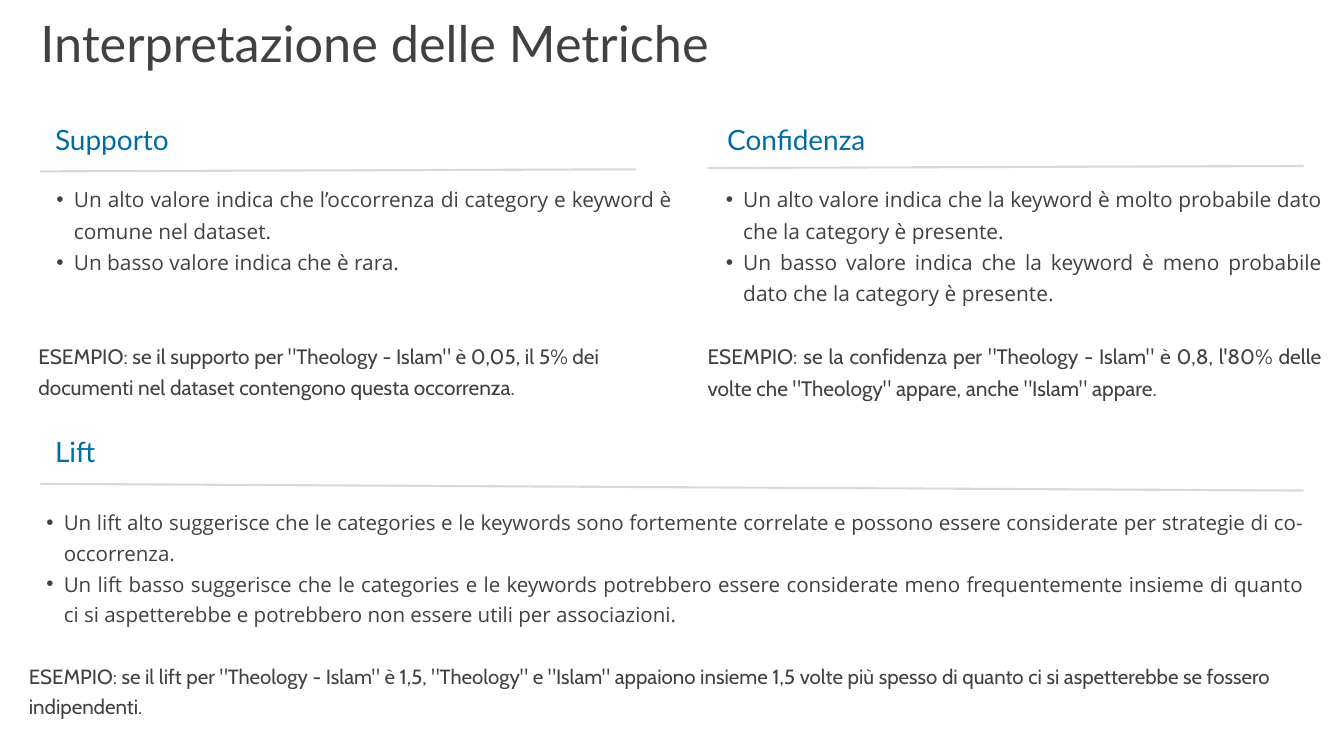
from lxml import etree
from pptx import Presentation
from pptx.dml.color import RGBColor
from pptx.enum import shapes, text
from pptx.oxml.ns import qn
from pptx.util import Pt

PX = 9144  # EMU per px, 100 px to the inch
COLOURS = {"body": "414042", "heading": "006EA4", "rule": "D9D9D9"}
LEFT, JUSTIFY = text.PP_ALIGN.LEFT, text.PP_ALIGN.JUSTIFY


def prepare(box, left, top, width, height):
    """Place a box and clear its margins."""
    box.left, box.top, box.width, box.height = (
        n * PX for n in (left, top, width, height))
    frame = box.text_frame
    frame.word_wrap = True
    frame.auto_size = text.MSO_AUTO_SIZE.NONE
    frame.vertical_anchor = text.MSO_ANCHOR.TOP
    frame.margin_left = frame.margin_top = 0
    frame.margin_right = frame.margin_bottom = 0
    return frame


def write(para, words, font, size, colour, spacing, align=LEFT):
    para.alignment = align
    para.line_spacing = Pt(spacing)
    span = para.add_run()
    span.text = words
    span.font.name = font
    span.font.size = Pt(size)
    span.font.color.rgb = RGBColor.from_string(COLOURS[colour])


deck = Presentation()
deck.slide_width, deck.slide_height = 2000 * PX, 1125 * PX
page = deck.slides.add_slide(deck.slide_layouts[5])

# Title
frame = prepare(page.shapes.title, 60, 25, 1447, 85)
write(frame.paragraphs[0], "Interpretazione delle Metriche", "Lato", 54, "body", 59.4)

# Each metric: heading, rule, bullets and example
metrics = [
    {
        "name": "Supporto", "heading": (82, 178), "rule": (60, 255, 947, 252),
        "body": (57, 269, 943, 319), "size": 22.3, "spacing": 33.5, "indent": 53,
        "bullets": [
            "Un alto valore indica che l’occorrenza di category e keyword è comune nel dataset.",
            "Un basso valore indica che è rara.",
        ],
        "example": "ESEMPIO: se il supporto per \"Theology - Islam\" è 0,05, il 5% dei "
                   "documenti nel dataset contengono questa occorrenza.",
        "gap_lines": 2, "example_align": LEFT,
    },
    {
        "name": "Confidenza", "heading": (1082, 178), "rule": (1053, 250, 1940, 247),
        "body": (1053, 269, 915, 330), "size": 22.4, "spacing": 33.6, "indent": 53,
        "bullets": [
            "Un alto valore indica che la keyword è molto probabile dato che la category è presente.",
            "Un basso valore indica che la keyword è meno probabile dato che la category è presente.",
        ],
        "example": "ESEMPIO: se la confidenza per \"Theology - Islam\" è 0,8, l'80% delle "
                   "volte che \"Theology\" appare, anche \"Islam\" appare.",
        "gap_lines": 1, "example_align": JUSTIFY,
    },
    {
        "name": "Lift", "heading": (82, 643), "rule": (60, 720, 1940, 730),
        "body": (43, 750, 1897, 320), "size": 22, "spacing": 32.9, "indent": 52,
        "bullets": [
            "Un lift alto suggerisce che le categories e le keywords sono fortemente correlate "
            "e possono essere considerate per strategie di co-occorrenza.",
            "Un lift basso suggerisce che le categories e le keywords potrebbero essere "
            "considerate meno frequentemente insieme di quanto ci si aspetterebbe e potrebbero "
            "non essere utili per associazioni.",
        ],
        "example": "ESEMPIO: se il lift per \"Theology - Islam\" è 1,5, \"Theology\" e \"Islam\" "
                   "appaiono insieme 1,5 volte più spesso di quanto ci si aspetterebbe se "
                   "fossero indipendenti.",
        "gap_lines": 1, "example_align": LEFT,
    },
]

for metric in metrics:
    # Rule under the heading
    rule = page.shapes.add_connector(
        shapes.MSO_CONNECTOR.STRAIGHT, *(n * PX for n in metric["rule"]))
    rule.line.color.rgb = RGBColor.from_string(COLOURS["rule"])
    rule.line.width = Pt(2.25)
    etree.SubElement(rule._element.spPr, qn("a:effectLst"))

    # Heading
    frame = prepare(page.shapes.add_textbox(0, 0, 0, 0), *metric["heading"], 757, 52)
    write(frame.paragraphs[0], metric["name"], "Lato", 30, "heading", 39)

    # Bullets
    size, spacing = metric["size"], metric["spacing"]
    frame = prepare(page.shapes.add_textbox(0, 0, 0, 0), *metric["body"])
    for number, words in enumerate(metric["bullets"]):
        para = frame.add_paragraph() if number else frame.paragraphs[0]
        write(para, words, "Open Sans", size, "body", spacing, JUSTIFY)
        para.level = 1
        props = para._p.get_or_add_pPr()
        props.set("marL", str(metric["indent"] * PX))
        props.set("indent", str(-26 * PX))
        etree.SubElement(props, qn("a:buFont"), typeface="Arial")
        etree.SubElement(props, qn("a:buChar"), char="•")

    # Example, set off by whole lines of space
    para = frame.add_paragraph()
    write(para, metric["example"], "Cabin", size, "body", spacing, metric["example_align"])
    para.space_before = Pt(metric["gap_lines"] * spacing)

deck.save("out.pptx")
